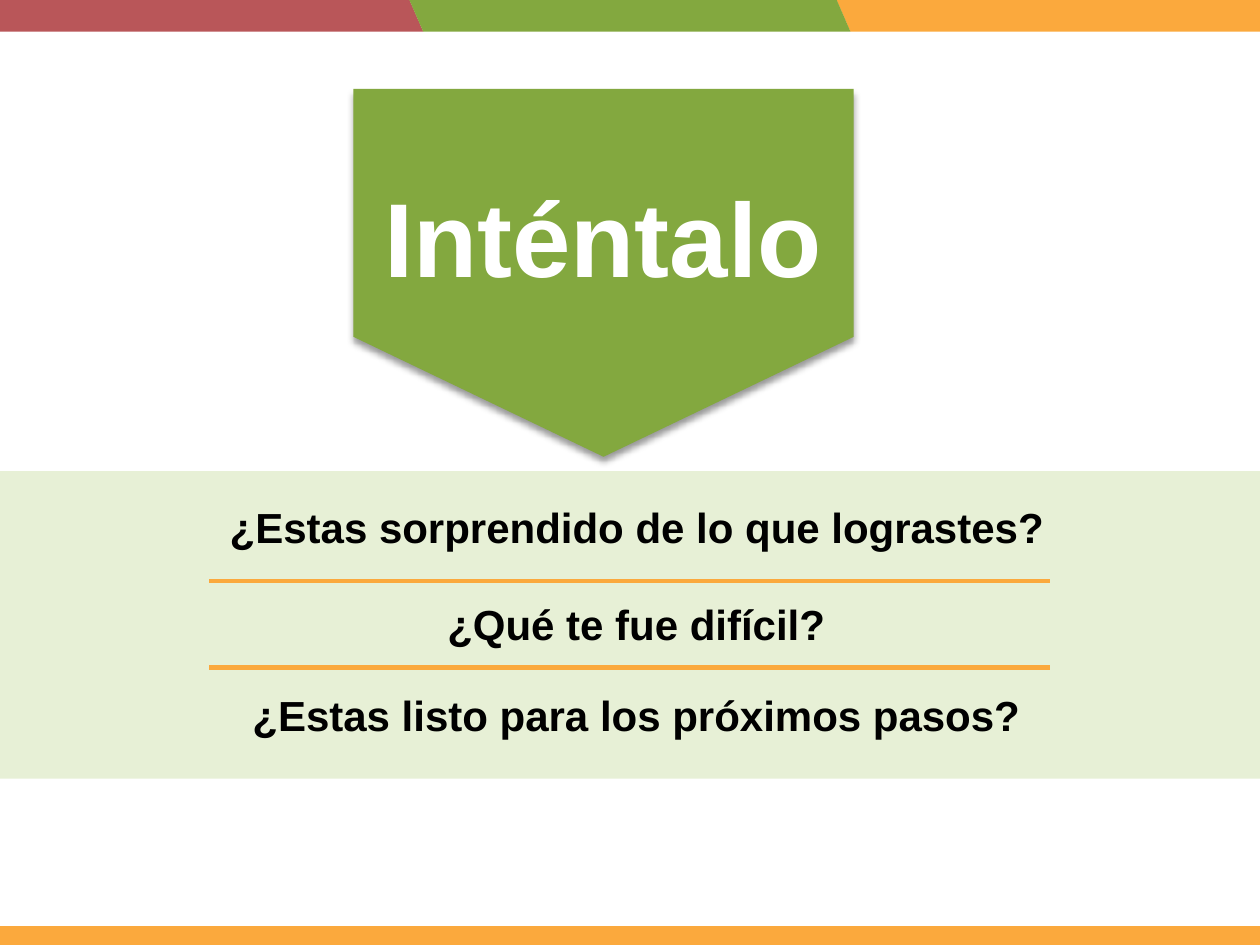
from lxml import etree
from pptx import Presentation
from pptx.dml.color import RGBColor
from pptx.enum.shapes import MSO_SHAPE
from pptx.enum.text import MSO_ANCHOR, MSO_AUTO_SIZE, PP_ALIGN
from pptx.oxml import parse_xml
from pptx.oxml.ns import nsdecls, qn
from pptx.util import Inches, Pt

RECTANGLE = MSO_SHAPE.RECTANGLE
PARALLELOGRAM = MSO_SHAPE.PARALLELOGRAM
PENTAGON = MSO_SHAPE.PENTAGON
CENTER = PP_ALIGN.CENTER
TOP = MSO_ANCHOR.TOP
FIT_SHAPE = MSO_AUTO_SIZE.SHAPE_TO_FIT_TEXT

ORANGE, RED, GREEN, PALE = "FBA93D", "B95659", "83A83F", "E7F0D6"
WHITE, BLACK = "FFFFFF", "000000"
PLAIN_TABLE = "{2D5ABB26-0587-4C30-8999-92F81FD0307C}"


def color(value):
    return RGBColor.from_string(value)


class SlideBuilder:
    font = "Arial"

    def __init__(self, slide):
        self.slide = slide

    def shape(self, kind, left, top, width, height, fill):
        shape = self.slide.shapes.add_shape(
            kind, Inches(left), Inches(top), Inches(width), Inches(height))
        shape.shadow.inherit = False
        shape.fill.solid()
        shape.fill.fore_color.rgb = color(fill)
        shape.line.fill.background()
        return shape

    def slanted_band(self, left, fill):
        band = self.shape(PARALLELOGRAM, left, 0, 3.5, 0.25, fill)
        band.adjustments[0] = 0.436
        band._element.spPr.find(qn("a:xfrm")).set("flipH", "1")

    def banner(self, left, top, width, height, fill):
        banner = self.shape(PENTAGON, left, top, width, height, fill)
        banner.rotation = 90
        banner.adjustments[0] = 0.326
        effects = banner._element.spPr.find(qn("a:effectLst"))
        shadow = etree.SubElement(
            effects, qn("a:outerShdw"), blurRad=str(Pt(4)), dist=str(Pt(3)),
            dir="5400000", algn="t", rotWithShape="0")
        tint = etree.SubElement(shadow, qn("a:srgbClr"), val=BLACK)
        etree.SubElement(tint, qn("a:alpha"), val="40000")

    def fill_text(self, box, text, size, fill):
        frame = box.text_frame
        frame.word_wrap = True
        frame.auto_size = FIT_SHAPE
        frame.vertical_anchor = TOP
        frame.text = text
        para = frame.paragraphs[0]
        para.alignment = CENTER
        font = para.runs[0].font
        font.name, font.size, font.bold = self.font, Pt(size), True
        font.color.rgb = color(fill)

    def title(self, text, left, top, width, height):
        box = self.slide.shapes.title
        box.left, box.top = Inches(left), Inches(top)
        box.width, box.height = Inches(width), Inches(height)
        self.fill_text(box, text, 60, WHITE)
        # Bring the title in front of the banner
        self.slide.shapes._spTree.append(box._element)

    def label(self, text, left, top, width):
        box = self.slide.shapes.add_textbox(
            Inches(left), Inches(top), Inches(width), Inches(0.5))
        self.fill_text(box, text, 24, BLACK)

    def ruled_table(self, left, top, width, row_height, rows):
        table = self.slide.shapes.add_table(
            rows, 1, Inches(left), Inches(top), Inches(width),
            Inches(row_height * rows)).table
        table.first_row = table.horz_banding = False
        table._tbl.tblPr.find(qn("a:tableStyleId")).text = PLAIN_TABLE
        for row in range(rows):
            cell = table.cell(row, 0)
            cell.fill.background()
            if row < rows - 1:
                self.rule(cell, "lnB")
            if row > 0:
                self.rule(cell, "lnT")

    def rule(self, cell, side):
        line = parse_xml(
            f'<a:{side} {nsdecls("a")} w="{Pt(3)}"><a:solidFill>'
            f'<a:srgbClr val="{ORANGE}"/></a:solidFill></a:{side}>')
        cell._tc.get_or_add_tcPr().insert(0, line)


def main():
    deck = Presentation()
    deck.slide_width, deck.slide_height = Inches(10), Inches(7.5)
    page = SlideBuilder(deck.slides.add_slide(deck.slide_layouts[5]))

    # Top and bottom trim
    for left, fill in ((6.64, ORANGE), (-0.14, RED), (3.25, GREEN)):
        page.slanted_band(left, fill)
    page.shape(RECTANGLE, 0, 7.35, 10, 0.15, ORANGE)

    # Banner with title
    page.shape(RECTANGLE, 0, 3.74, 10, 2.44, PALE)
    page.banner(3.33, 0.18, 2.92, 3.97, GREEN)
    page.title("Inténtalo", 2.8, 1.32, 3.97, 1.11)

    # Questions between ruled rows
    page.ruled_table(1.66, 3.92, 6.67, 0.69, 3)
    for text, left, top, width in (
            ("¿Estas sorprendido de lo que lograstes?", 1.72, 3.93, 6.67),
            ("¿Qué te fue difícil?", 3.05, 4.7, 4),
            ("¿Estas listo para los próximos pasos?", 0.49, 5.42, 9.12)):
        page.label(text, left, top, width)

    deck.save("out.pptx")


if __name__ == "__main__":
    main()
